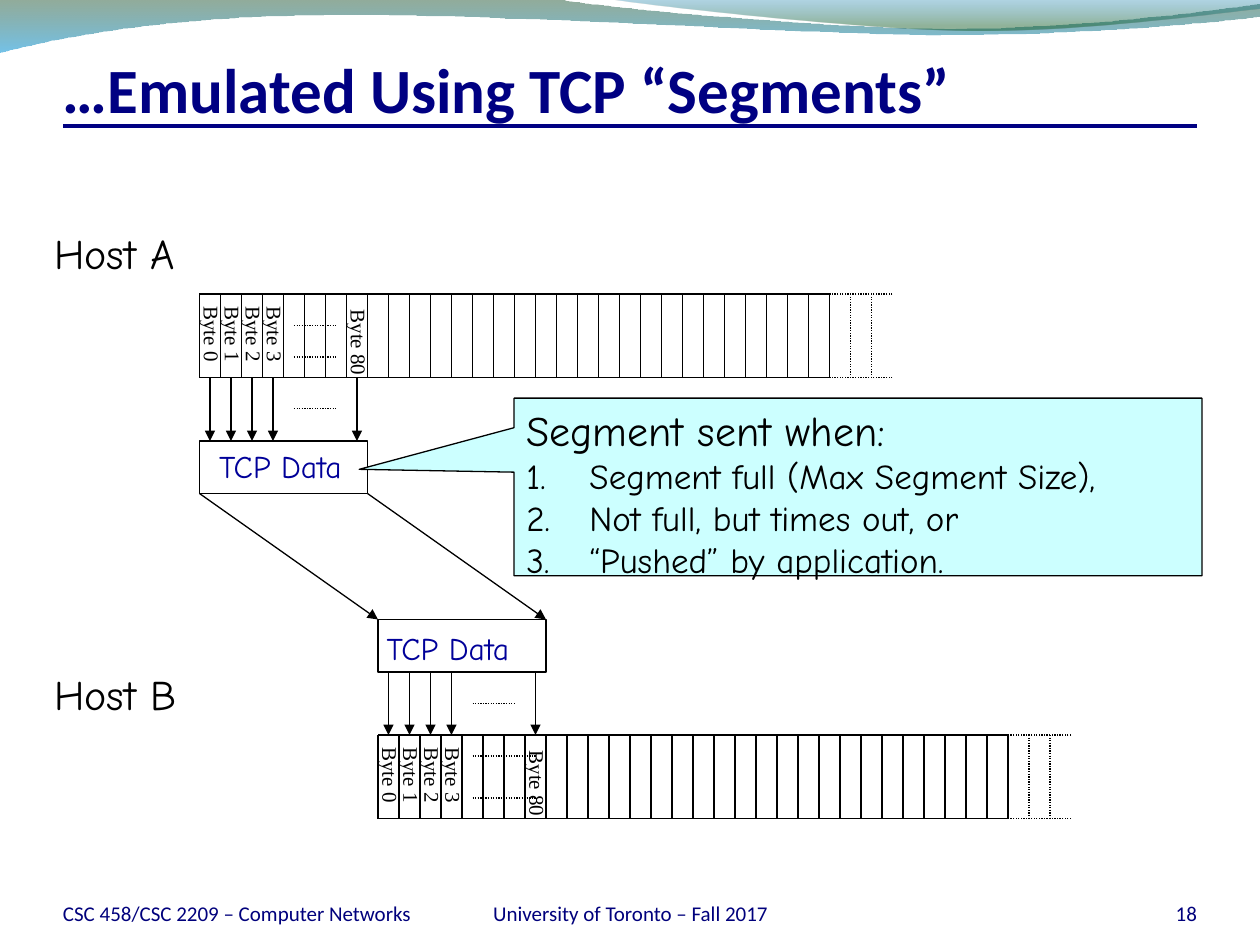
"""Build the slide on a TCP byte stream emulated with segments."""
from pptx import Presentation
from pptx.dml.color import RGBColor
from pptx.enum.dml import MSO_LINE
from pptx.enum.shapes import MSO_CONNECTOR, MSO_SHAPE
from pptx.enum.text import MSO_ANCHOR, MSO_AUTO_SIZE, PP_ALIGN
from pptx.oxml.ns import qn
from pptx.util import Inches, Pt
from lxml.etree import SubElement

color = RGBColor.from_string
deck = Presentation()
deck.slide_width, deck.slide_height = Inches(10), Inches(7.5)
page = deck.slides.add_slide(deck.slide_layouts[6])
shapes = page.shapes


def add_text(text, box=None, at=None, size=12, font="Calibri", ink="000000", bold=False,
             align=PP_ALIGN.LEFT, anchor=MSO_ANCHOR.TOP, insets=None, wrap=False, rotation=0):
    if box is None:
        box = shapes.add_textbox(*map(Inches, at))
        box.rotation = rotation
    frame = box.text_frame
    frame.word_wrap = wrap
    frame.auto_size = MSO_AUTO_SIZE.NONE if wrap else MSO_AUTO_SIZE.SHAPE_TO_FIT_TEXT
    frame.vertical_anchor = anchor
    if insets:
        (frame.margin_left, frame.margin_top,
         frame.margin_right, frame.margin_bottom) = map(Inches, insets)
    para = frame.add_paragraph() if frame.text else frame.paragraphs[0]
    para.alignment = align
    span = para.add_run()
    span.text = text
    span.font.name, span.font.size, span.font.bold = font, Pt(size), bold
    span.font.color.rgb = color(ink)
    return para


def add_line(start, end, ink="000000", width=0.75, dotted=False, arrow=False):
    line = shapes.add_connector(MSO_CONNECTOR.STRAIGHT, *map(Inches, (*start, *end)))
    line.line.color.rgb = color(ink)
    line.line.width = Pt(width)
    if dotted:
        line.line.dash_style = MSO_LINE.ROUND_DOT
    properties = line.element.spPr
    if arrow:
        SubElement(properties.find(qn("a:ln")), qn("a:tailEnd"), type="triangle")
    SubElement(properties, qn("a:effectLst"))


waves = [
    ([[(0, -0.01)], [(4.4, -0.01)],
      [(4.76, 0.06), (6.64, 0.23), (7.58, 0.23)], [(8.53, 0.23), (9.58, 0.09), (10, 0.03)],
      [(10.01, 0.13)], [(9.83, 0.16), (8.7, 0.28), (7.46, 0.28)],
      [(6.22, 0.27), (3.82, 0.1), (2.57, 0.12)], [(1.29, 0.13), (0.46, 0.3), (-0.01, 0.42)]],
     [(0, "0F461E", 45), (1, "0090D6", 55)]),
    ([[(4.79, -0.01)], [(5.09, 0.04), (6.82, 0.23), (7.69, 0.24)],
      [(8.56, 0.25), (9.61, 0.11), (10, 0.07)], [(10, -0.01)]],
     [(0, "0076AF", 30), (0.8, "0D5821", 45)]),
]
for segments, stops in waves:
    corners = [(Inches(x), Inches(y)) for segment in segments for x, y in segment]
    builder = shapes.build_freeform(*corners[0])
    builder.add_line_segments(corners[1:], close=True)
    wave = builder.convert_to_shape()
    straights = iter(list(wave.element.iter(qn("a:lnTo"))))
    for segment in segments[1:]:
        first, *others = [next(straights) for point in segment]
        if others:
            first.tag = qn("a:cubicBezTo")
            for other in others:
                first.append(other[0])
                other.getparent().remove(other)
    wave.shadow.inherit = False
    wave.line.fill.background()
    wave.fill.gradient()
    wave.fill.gradient_angle = 270
    for stop, (position, ink, opacity) in zip(wave.fill.gradient_stops, stops):
        stop.position = position
        stop.color.rgb = color(ink)
    for tint, (position, ink, opacity) in zip(wave.element.iter(qn("a:srgbClr")), stops):
        SubElement(tint, qn("a:alpha"), val=str(opacity * 1000))

add_line((0.5, 1), (9.5, 1), ink="000082", width=2.25)
for text, left, width, align in [
    ("CSC 458/CSC 2209 – Computer Networks", 0.5, 2.83, PP_ALIGN.LEFT),
    ("18", 8.67, 0.83, PP_ALIGN.RIGHT),
    ("University of Toronto – Fall 2017", 3.42, 3.17, PP_ALIGN.CENTER),
]:
    add_text(text, at=(left, 6.95, width, 0.4), ink="00007C", align=align,
             anchor=MSO_ANCHOR.BOTTOM, insets=(0, 0, 0, 0), wrap=True)
add_text("…Emulated Using TCP “Segments”", at=(0.5, 0.33, 9, 0.67), size=36, ink="000082",
         bold=True, anchor=MSO_ANCHOR.BOTTOM, insets=(0, 0.05, 0, 0), wrap=True)

pitch = 1 / 6
cells = 30
labelled = {0: "Byte 0", 1: "Byte 1", 2: "Byte 2", 3: "Byte 3", 7: "Byte 80"}
hosts = [
    ("Host A", 9.5, 14, 21, 18, (1.64, 3.5),
     [(14, 15.5, 16), (14, 17, 16), (14, 19.45, 16)]),
    ("Host B", 18, 35, 29.5, 32, (2.97, 4.94),
     [(22.5, 36, 25.5), (22.5, 38, 25.5), (22.5, 33.5, 24.5)]),
]
for host, column, row, segment_row, arrow_row, data_at, ellipses in hosts:
    left, top, arrow_top = column * pitch, row * pitch, arrow_row * pitch
    right, bottom = left + cells * pitch, top + 3.98 * pitch
    for y in (top, bottom):
        add_line((left, y), (right, y))
        add_line((right + 0.5, y), (right, y), dotted=True)
    for cell in range(cells + 3):
        x = left + cell * pitch
        add_line((x, top), (x, bottom), dotted=cell > cells)
    add_text(host, at=(2 * pitch, top - 0.58, 1.29, 0.57), size=24, font="Comic Neue")
    segment = shapes.add_shape(MSO_SHAPE.RECTANGLE, *(
        Inches(units * pitch) for units in (column, segment_row, 8, 2.5)))
    segment.shadow.inherit = False
    segment.fill.solid()
    segment.fill.fore_color.rgb = color("FFFFFF")
    segment.line.color.rgb = color("000000")
    segment.line.width = Pt(0.75)
    for cell, label in labelled.items():
        width, middle = (0.73, top + 0.39) if cell == 7 else (0.64, top + 0.32)
        center = left + 0.1 + cell * pitch
        add_text(label, at=(center - width / 2, middle - 0.15, width, 0.3),
                 font="Times New Roman", rotation=89.8)
        x = left + (cell + 0.5) * pitch
        add_line((x, arrow_top), (x, arrow_top + 0.5), arrow=True)
    for start, height, end in ellipses:
        add_line((start * pitch, height * pitch), (end * pitch, height * pitch), dotted=True)
    add_text("TCP Data", at=(*data_at, 1.28, 0.45), size=18, font="Comic Neue", ink="000099")

for column in (9.5, 17.5):
    add_line((column * pitch, 23.5 * pitch), ((column + 8.5) * pitch, 29.5 * pitch), arrow=True)

callout = shapes.add_shape(MSO_SHAPE.RECTANGULAR_CALLOUT,
                           *map(Inches, (4.08, 3.16, 5.46, 1.41)))
callout.adjustments[0], callout.adjustments[1] = -0.725, -0.099
callout.shadow.inherit = False
callout.fill.solid()
callout.fill.fore_color.rgb = color("CCFFFF")
callout.line.color.rgb = color("000000")
callout.line.width = Pt(0.75)
for text, size in [("Segment sent when:", 24), ("Segment full (Max Segment Size),", 20),
                   ("Not full, but times out, or", 20), ("“Pushed” by application.", 20)]:
    para = add_text(text, box=callout, size=size, font="Comic Neue", wrap=True)
    layout = para._p.get_or_add_pPr()
    layout.set("marL", str(Inches(0.5)))
    layout.set("indent", str(Inches(-0.5)))
    if size == 20:
        SubElement(layout, qn("a:buAutoNum"), type="arabicPeriod")

deck.save("out.pptx")
